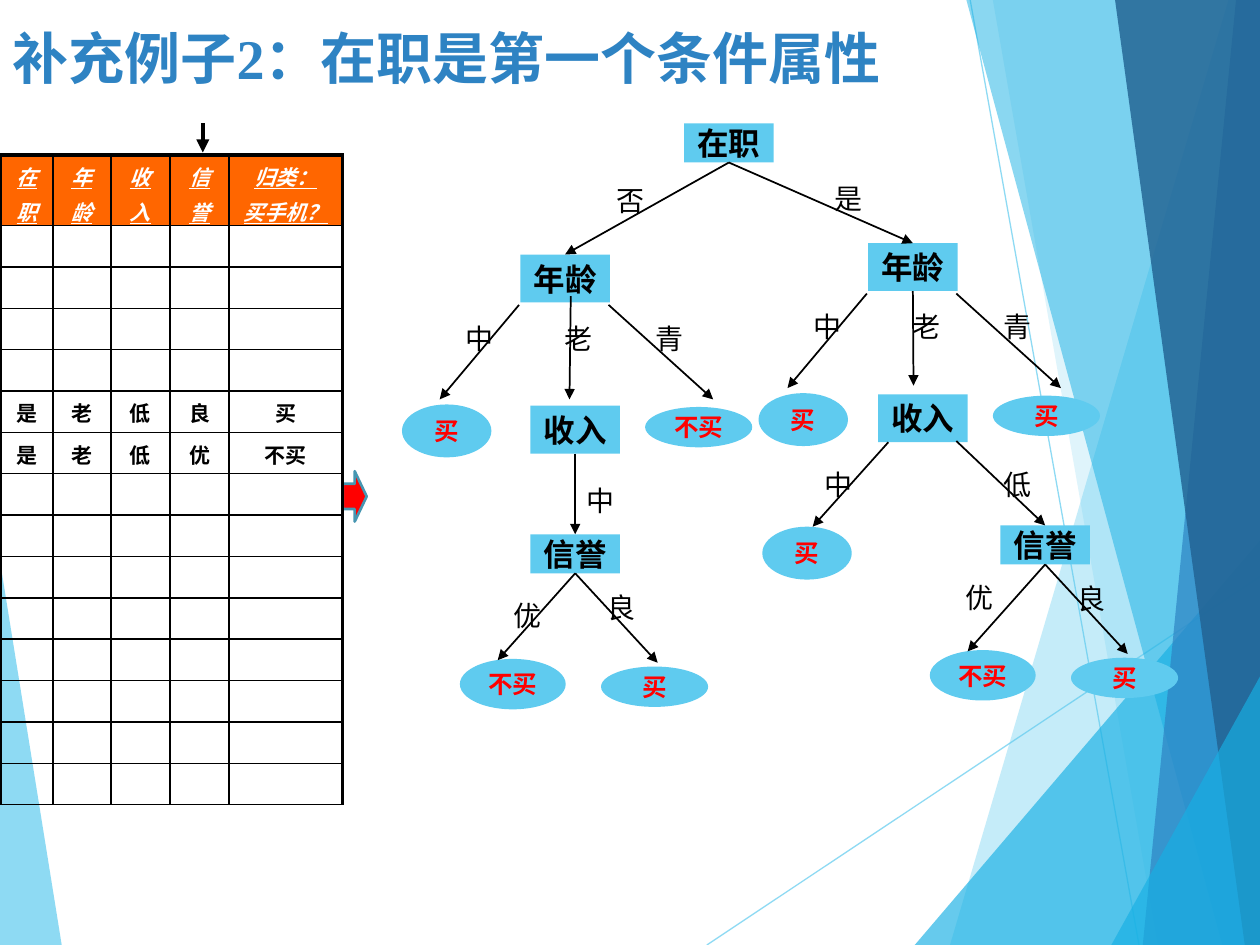
import pptx
import pptx.dml.color
import pptx.enum.shapes
import pptx.enum.text
import pptx.oxml.ns
import pptx.util
from lxml import etree
from pptx.util import Inches, Pt

COLORS = {
    "sky": "5FCBEF", "cyan": "17B0E4", "blue": "2E83C3", "navy": "226292",
    "orange": "FF6600", "red": "FF0000", "teal": "4696B1",
    "black": "000000", "white": "FFFFFF",
}
SERIF, SANS, BODY = "Times New Roman", "Lato", "Arial"
RECT = pptx.enum.shapes.MSO_SHAPE.RECTANGLE
OVAL = pptx.enum.shapes.MSO_SHAPE.OVAL
TOP, BOTTOM = 0, 2
CENTER = pptx.enum.text.PP_ALIGN.CENTER
MIDDLE = pptx.enum.text.MSO_ANCHOR.MIDDLE

# Background panes, back to front: corners, colour, opacity in percent
PANES = [
    ([(-0.01, 4.39), (0.49, 7.5), (-0.01, 7.5)], "sky", 70),
    ([(9.75, 0), (7.54, 7.5), (10.01, 7.5), (10.01, 0)], "sky", 36),
    ([(7.88, 0), (9.19, 7.5), (10.01, 7.5), (10.01, 0)], "sky", 20),
    ([(7.26, 7.5), (10, 4.29), (10.01, 7.5)], "cyan", 66),
    ([(7.67, 0), (9.7, 7.5), (10.01, 7.5), (10.01, 0)], "cyan", 50),
    ([(9.81, 0), (9.07, 7.5), (10.01, 7.5), (10, 0)], "blue", 70),
    ([(8.85, 0), (9.88, 7.5), (10.01, 7.5), (10, 0)], "navy", 82),
    ([(8.82, 7.5), (10.01, 5.35), (10.01, 7.5)], "cyan", 66),
]
RAYS = [((5.61, 7.5), (10.01, 4.57)), ((7.7, 0), (9.04, 7.5))]

HEADINGS = ["在\n职", "年\n龄", "收\n入", "信\n誉", "归类：\n买手机？"]
RECORDS = {5: ["是", "老", "低", "良", "买"], 6: ["是", "老", "低", "优", "不买"]}
BLANK_RECORD = [""] * len(HEADINGS)
RECORD_COUNT = 14


def rgb(color):
    return pptx.dml.color.RGBColor.from_string(COLORS[color])


def add_xml(parent, tag, **attributes):
    return etree.SubElement(parent, pptx.oxml.ns.qn(tag), **attributes)


def set_opacity(fill_owner, percent):
    for color in fill_owner.iter(pptx.oxml.ns.qn("a:srgbClr")):
        add_xml(color, "a:alpha", val=str(percent * 1000))


def format_text(paragraph, font_name, size, color, **styles):
    for run in paragraph.runs:
        run.font.name, run.font.size = font_name, Pt(size)
        run.font.color.rgb = rgb(color)
        for style, value in styles.items():
            setattr(run.font, style, value)


def add_pane(slide, corners, color, opacity):
    points = [(Inches(x), Inches(y)) for x, y in corners]
    builder = slide.shapes.build_freeform(*points[0])
    builder.add_line_segments(points[1:], close=True)
    pane = builder.convert_to_shape()
    pane.shadow.inherit = False
    pane.fill.solid()
    pane.fill.fore_color.rgb = rgb(color)
    pane.line.fill.background()
    set_opacity(pane._element.spPr, opacity)


def add_line(slide, start, end, color="black", width=1):
    line = slide.shapes.add_connector(
        pptx.enum.shapes.MSO_CONNECTOR.STRAIGHT, *map(Inches, start + end))
    line.line.color.rgb = rgb(color)
    line.line.width = Pt(width)
    add_xml(line._element.spPr, "a:effectLst")
    return line


def add_arrow(slide, start, end, parent=None, child=None, width=1):
    """Draw an arrow, joined to the parent's bottom and the child's top if given."""
    arrow = add_line(slide, start, end, width=width)
    add_xml(arrow.line._get_or_add_ln(), "a:tailEnd", type="triangle")
    if parent is not None:
        arrow.begin_connect(parent, BOTTOM)
    if child is not None:
        arrow.end_connect(child, TOP)


def add_node(slide, kind, text, left, top, width, height):
    """Add a test (rectangle) or an outcome (oval) of the decision tree."""
    node = slide.shapes.add_shape(kind, *map(Inches, (left, top, width, height)))
    node.shadow.inherit = False
    node.fill.solid()
    node.fill.fore_color.rgb = rgb("sky")
    node.line.fill.background()
    frame = node.text_frame
    frame.text = text
    frame.word_wrap = False
    frame.vertical_anchor = MIDDLE
    frame.paragraphs[0].alignment = CENTER
    size, color = (18, "black") if kind == RECT else (14, "red")
    format_text(frame.paragraphs[0], SANS, size, color, bold=True)
    return node


def add_label(slide, text, left, top):
    label = slide.shapes.add_textbox(*map(Inches, (left, top, 0.63, 0.37)))
    label.text_frame.word_wrap = True
    label.text_frame.text = text
    label.text_frame.paragraphs[0].alignment = CENTER
    format_text(label.text_frame.paragraphs[0], SERIF, 16, "black")


def add_age_branch(slide, x, y, middle_left, young_outcome):
    """Add the age test at (x, y) with its three ways; return age and income tests."""
    age = add_node(slide, RECT, "年龄", x, y, 0.71, 0.38)
    income = add_node(slide, RECT, "收入", x + 0.08, y + 1.2, 0.71, 0.38)
    add_node(slide, OVAL, "买", middle_left, y + 1.19, 0.71, 0.42)
    add_node(slide, OVAL, young_outcome, x + 0.99, y + 1.21, 0.85, 0.32)
    add_arrow(slide, (x - 0.01, y + 0.4), (x - 0.64, y + 1.15))
    add_arrow(slide, (x + 0.7, y + 0.4), (x + 1.53, y + 1.15))
    for text, dx in (("中", -0.64), ("老", 0.15), ("青", 0.87)):
        add_label(slide, text, x + dx, y + 0.48)
    return age, income


def add_credit_branch(slide, x, y, excellent_at):
    """Add the credit test at (x, y) with its two outcomes; return the test."""
    credit = add_node(slide, RECT, "信誉", x, y, 0.71, 0.31)
    add_node(slide, OVAL, "不买", x - 0.56, y + 0.99, 0.84, 0.4)
    add_node(slide, OVAL, "买", x + 0.56, y + 1.05, 0.85, 0.32)
    for end in ((x - 0.26, y + 1), (x + 1.01, y + 1.02)):
        add_arrow(slide, (x + 0.35, y + 0.31), end, parent=credit)
    add_label(slide, "优", *excellent_at)
    add_label(slide, "良", x + 0.41, y + 0.4)
    return credit


def add_tree(slide):
    job = add_node(slide, RECT, "在职", 5.43, 0.98, 0.71, 0.31)
    left_age, left_income = add_age_branch(slide, 4.13, 2.02, 3.19, "不买")
    right_age, right_income = add_age_branch(slide, 6.89, 1.93, 6.02, "买")
    left_credit = add_credit_branch(slide, 4.21, 4.24, (3.87, 4.7))
    right_credit = add_credit_branch(slide, 7.94, 4.17, (7.46, 4.56))
    add_node(slide, OVAL, "买", 6.05, 4.18, 0.71, 0.42)

    add_arrow(slide, (5.78, 1.3), (4.48, 2), job, left_age)
    add_arrow(slide, (5.78, 1.3), (7.24, 1.93), job, right_age)
    add_arrow(slide, (4.53, 2.35), (4.52, 3.17))
    add_arrow(slide, (7.24, 2.3), (7.25, 3.06), right_age)
    add_arrow(slide, (4.57, 3.59), (4.56, 4.24), left_income, left_credit)
    add_arrow(slide, (7.05, 3.51), (6.45, 4.18))
    add_arrow(slide, (7.59, 3.5), (8.3, 4.18), child=right_credit)
    for text, left, top in (("否", 4.69, 1.41), ("是", 6.42, 1.39), ("中", 4.45, 3.79),
                            ("中", 6.34, 3.66), ("低", 7.76, 3.66)):
        add_label(slide, text, left, top)


def set_borders(cell, widths):
    for side, width in widths.items():
        border = add_xml(cell._tc.get_or_add_tcPr(), f"a:ln{side}", w=str(Pt(width)))
        add_xml(add_xml(border, "a:solidFill"), "a:srgbClr", val=COLORS["black"])


def fill_cell(cell, text, is_header, is_last):
    set_borders(cell, {"L": 1, "R": 2.25 if is_last else 1,
                       "T": 2.25 if is_header else 1, "B": 1})
    cell.margin_top, cell.margin_bottom = Inches(0.05), 0
    cell.text = text
    if is_header:
        cell.fill.solid()
        cell.fill.fore_color.rgb = rgb("orange")
    else:
        cell.fill.background()
    for index, paragraph in enumerate(cell.text_frame.paragraphs):
        paragraph.alignment = CENTER
        if index:
            paragraph.space_before = Pt(2.4)
        if is_header:
            format_text(paragraph, SERIF, 12, "white", bold=True, italic=True, underline=True)
        else:
            format_text(paragraph, BODY, 12, "black", bold=True)
        if not text:
            add_xml(paragraph._p, "a:endParaRPr", sz="1200")


def add_records(slide):
    rows = [HEADINGS] + [RECORDS.get(n, BLANK_RECORD) for n in range(1, RECORD_COUNT + 1)]
    table = slide.shapes.add_table(len(rows), len(HEADINGS), Inches(0.01), Inches(1.23),
                                   Inches(2.71), Inches(5.16)).table
    table.first_row = table.horz_banding = False
    for column, width in zip(table.columns, (0.41, 0.46, 0.47, 0.47, 0.9)):
        column.width = Inches(width)
    for r, texts in enumerate(rows):
        table.rows[r].height = Inches((5.16 - 0.56) / RECORD_COUNT if r else 0.56)
        for c, text in enumerate(texts):
            fill_cell(table.cell(r, c), text, r == 0, c == len(HEADINGS) - 1)


def add_title(slide):
    title = slide.shapes.add_textbox(*map(Inches, (0, 0.19, 8.6, 0.53)))
    title.text_frame.word_wrap = True
    title.text_frame.vertical_anchor = MIDDLE
    title.text_frame.text = "补充例子2：在职是第一个条件属性"
    format_text(title.text_frame.paragraphs[0], SERIF, 32, "blue", bold=True)


def add_result_arrow(slide):
    result = slide.shapes.add_shape(pptx.enum.shapes.MSO_SHAPE.RIGHT_ARROW,
                                    *map(Inches, (2.72, 3.74, 0.19, 0.4)))
    result.shadow.inherit = False
    result.fill.solid()
    result.fill.fore_color.rgb = rgb("red")
    result.line.color.rgb = rgb("teal")
    result.line.width = Pt(1.5)


def main():
    deck = pptx.Presentation()
    deck.slide_width, deck.slide_height = Inches(10), Inches(7.5)
    slide = deck.slides.add_slide(deck.slide_layouts[6])
    for start, end in RAYS:
        ray = add_line(slide, start, end, "sky", 0.75)
        set_opacity(ray._element.spPr, 70)
    for pane in PANES:
        add_pane(slide, *pane)
    add_result_arrow(slide)
    add_title(slide)
    add_arrow(slide, (1.61, 0.98), (1.61, 1.21), width=2.5)
    add_records(slide)
    add_tree(slide)
    deck.save("out.pptx")


if __name__ == "__main__":
    main()
